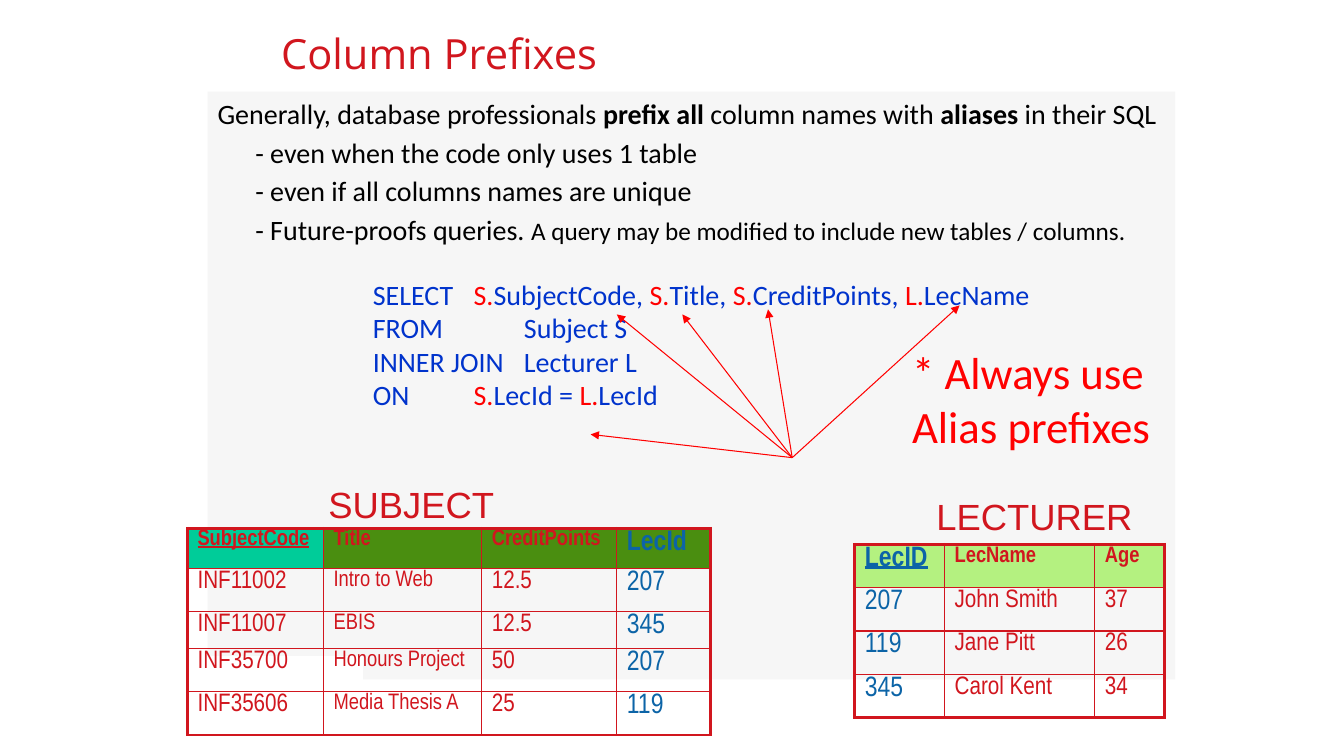
from lxml.etree import SubElement as Sub
from pptx import Presentation
from pptx.dml.color import RGBColor
from pptx.enum.shapes import MSO_CONNECTOR as Link, MSO_SHAPE as Shape
from pptx.enum.text import MSO_ANCHOR as Anchor
from pptx.oxml.ns import qn
from pptx.util import Pt

RED = RGBColor(0xD1, 0x16, 0x1E)
HOT = RGBColor(0xFF, 0x00, 0x00)
BLUE = RGBColor(0x00, 0x33, 0xCC)
KEY = RGBColor(0x0C, 0x64, 0xA7)
BLACK = RGBColor(0x00, 0x00, 0x00)
WHITE = RGBColor(0xFF, 0xFF, 0xFF)
GREY = RGBColor(0xF6, 0xF6, 0xF6)
TEAL = RGBColor(0x00, 0xCC, 0x99)
GREEN = RGBColor(0x4A, 0x8E, 0x10)
LIME = RGBColor(0xB4, 0xF1, 0x80)


def add_run(para, text, size, color, face="Calibri", bold=False, under=False):
    run = para.add_run()
    run.text = text
    font = run.font
    font.size, font.name, font.bold, font.underline = Pt(size), face, bold, under
    font.color.rgb = color


def set_tabs(para, stops):
    tabs = Sub(para._p.get_or_add_pPr(), qn("a:tabLst"))
    for stop in stops:
        Sub(tabs, qn("a:tab"), pos=str(Pt(stop)), algn="l")


def get_para(frame, index):
    return frame.add_paragraph() if index else frame.paragraphs[0]


def add_text(slide, box, text, size, color, face="Calibri", wrap=True, anchor=Anchor.TOP):
    frame = slide.shapes.add_textbox(*map(Pt, box)).text_frame
    frame.word_wrap = wrap
    frame.vertical_anchor = anchor
    add_run(frame.paragraphs[0], text, size, color, face)


def add_panel(slide, box, color):
    panel = slide.shapes.add_shape(Shape.RECTANGLE, *map(Pt, box))
    panel.shadow.inherit = False
    panel.fill.solid()
    panel.fill.fore_color.rgb = color
    panel.line.fill.background()
    return panel


def add_body(slide, box):
    frame = add_panel(slide, box, GREY).text_frame
    frame.word_wrap = True
    frame.vertical_anchor = Anchor.TOP
    lines = [
        [("Generally, database professionals ", 20, False), ("prefix all", 20, True),
         (" column names with ", 20, False), ("aliases", 20, True),
         (" in their SQL", 20, False)],
        [("\t- even when the code only uses 1 table", 20, False)],
        [("\t- even if all columns names are unique", 20, False)],
        [("\t- Future-proofs queries. ", 20, False),
         ("A query may be modified to include new tables / columns.", 18, False)],
    ]
    for i, line in enumerate(lines):
        para = get_para(frame, i)
        para.alignment = 1
        if i:
            para.space_before = Pt(3.6)
        set_tabs(para, [27])
        for text, size, bold in line:
            add_run(para, text, size, BLACK, bold=bold)


def add_code(slide, box):
    frame = slide.shapes.add_textbox(*map(Pt, box)).text_frame
    frame.word_wrap = True
    lines = [
        ["SELECT\t", "S.", "SubjectCode, ", "S.", "Title, ", "S.", "CreditPoints, ",
         "L.", "LecName"],
        ["FROM\t\tSubject S"],
        ["INNER JOIN\tLecturer L"],
        ["ON\t\t", "S.", "LecId = ", "L.", "LecId"],
    ]
    for i, line in enumerate(lines):
        para = get_para(frame, i)
        set_tabs(para, [36, 72, 108])
        for text in line:
            add_run(para, text, 20, HOT if text in ("S.", "L.") else BLUE)


def set_edge(cell, side, width):
    edge = Sub(cell._tc.get_or_add_tcPr(), qn("a:ln" + side), w=str(Pt(width)))
    Sub(Sub(edge, qn("a:solidFill")), qn("a:srgbClr"), val=str(RED))


def add_grid(slide, left, top, widths, heights, data, fills, sizes, key):
    rows, cols = len(heights), len(widths)
    table = slide.shapes.add_table(
        rows, cols, *map(Pt, (left, top, sum(widths), sum(heights)))).table
    table.first_row = table.horz_banding = False
    for col, width in zip(table.columns, widths):
        col.width = Pt(width)
    for row, height in zip(table.rows, heights):
        row.height = Pt(height)
    for r, line in enumerate(data):
        for c, text in enumerate(line):
            cell = table.cell(r, c)
            cell.margin_top = cell.margin_bottom = Pt(1)
            outer = {"L": c == 0, "R": c == cols - 1, "T": r == 0, "B": r == rows - 1}
            for side, thick in outer.items():
                set_edge(cell, side, 2.25 if thick else 1)
            if r:
                cell.fill.background()
            else:
                cell.fill.solid()
                cell.fill.fore_color.rgb = fills[c]
            size = 20 if c == key else sizes[c] if r else 16
            add_run(cell.text_frame.paragraphs[0], text, size, KEY if c == key else RED,
                    "Arial Narrow", bold=r == 0, under=r == 0 and c == 0)


def add_arrows(slide, hub, tips):
    for tip in tips:
        arrow = slide.shapes.add_connector(Link.STRAIGHT, *map(Pt, hub + tip))
        arrow.line.color.rgb = HOT
        arrow.line.width = Pt(0.75)
        Sub(arrow.line._get_or_add_ln(), qn("a:tailEnd"), type="triangle")
        Sub(arrow._element.spPr, qn("a:effectLst"))


def main():
    deck = Presentation()
    deck.slide_width, deck.slide_height = Pt(960), Pt(540)
    slide = deck.slides.add_slide(deck.slide_layouts[6])
    add_text(slide, (193.7, 15.1, 646.6, 45.4), "Column Prefixes", 29.7, RED,
             "Open Sans", anchor=Anchor.MIDDLE)
    add_body(slide, (148.3, 65.5, 691.2, 419.8))
    add_panel(slide, (120.2, 468.7, 139, 71.3), WHITE)
    subjects = [
        ("SubjectCode", "Title", "CreditPoints", "LecId"),
        ("INF11002", "Intro to Web", "12.5", "207"),
        ("INF11007", "EBIS", "12.5", "345"),
        ("INF35700", "Honours Project", "50", "207"),
        ("INF35606", "Media Thesis A", "25", "119"),
    ]
    add_grid(slide, 133.9, 377.3, [97.2, 113, 96.5, 67], [28.8, 31, 25.9, 31, 31],
             subjects, [TEAL, GREEN, GREEN, GREEN], [18, 16, 18, 20], 3)
    add_text(slide, (227.5, 340.6, 136, 38), "SUBJECT", 26, RED, "Arial", False)
    lecturers = [
        ("LecID", "LecName", "Age"),
        ("207", "John Smith", "37"),
        ("119", "Jane Pitt", "26"),
        ("345", "Carol Kent", "34"),
    ]
    add_grid(slide, 610.6, 388.8, [64.1, 107.3, 49.7], [31] * 4,
             lecturers, [LIME] * 3, [20, 18, 18], 0)
    add_text(slide, (661.7, 349.2, 156, 38), "LECTURER", 26, RED, "Arial", False)
    add_code(slide, (259.2, 194.4, 657.4, 104.4))
    add_text(slide, (644.4, 242.6, 195, 85), "* Always use Alias prefixes", 32, HOT)
    add_arrows(slide, (565.9, 326.9), [(440.6, 224.6), (487.4, 224.6), (548.6, 221),
                                       (685.4, 218.2), (421.9, 310.3)])
    deck.save("out.pptx")


if __name__ == "__main__":
    main()
